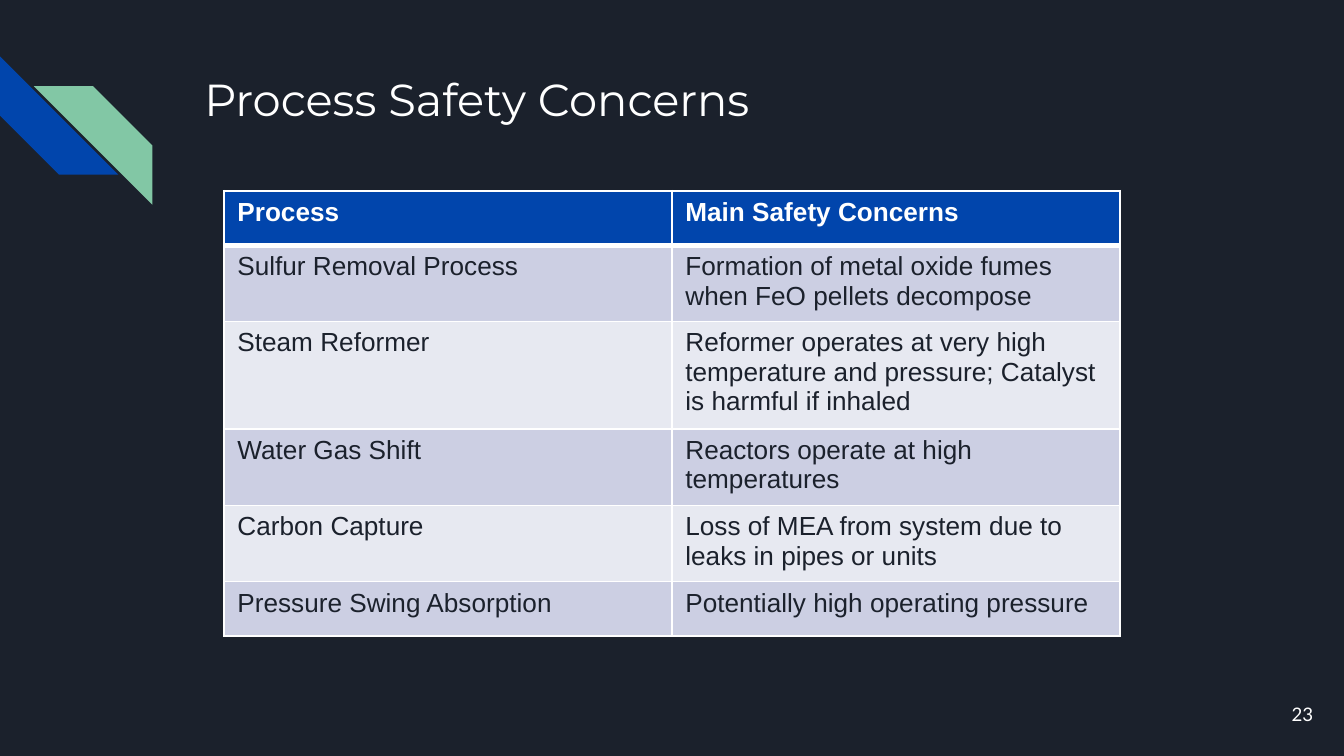
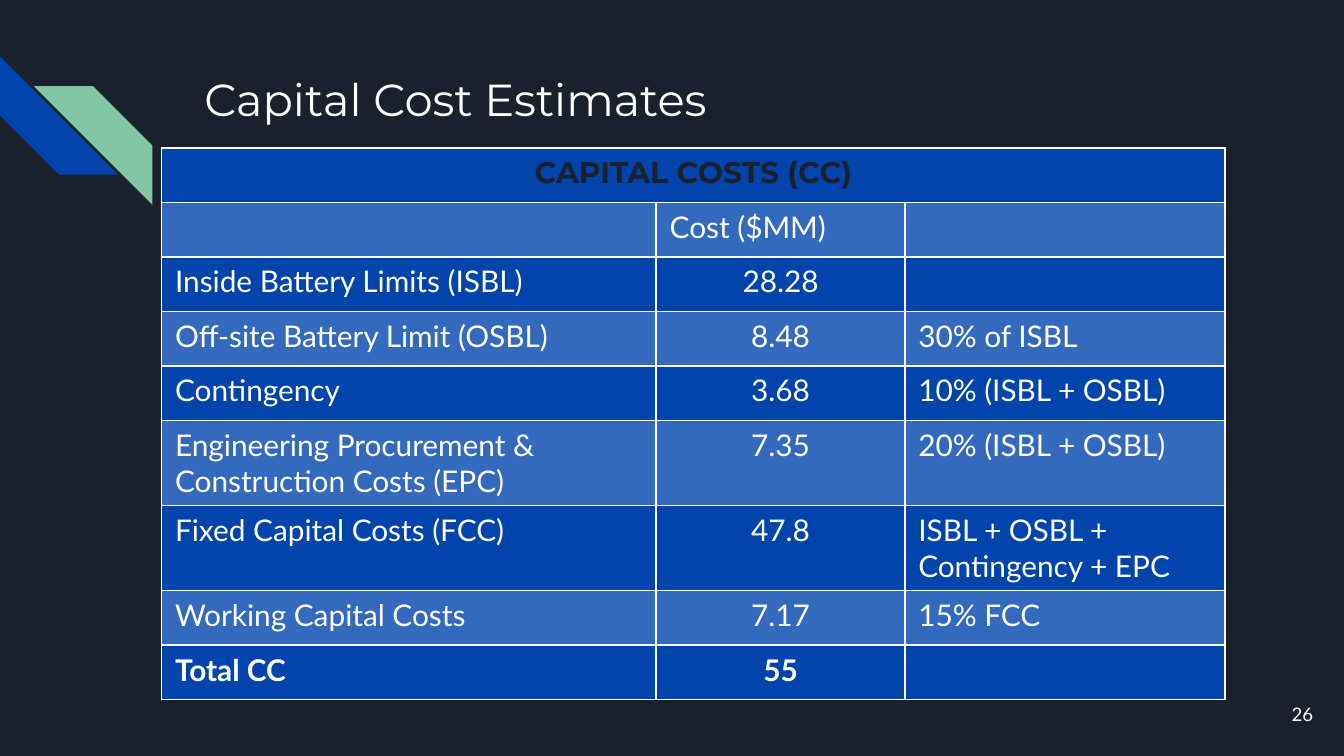
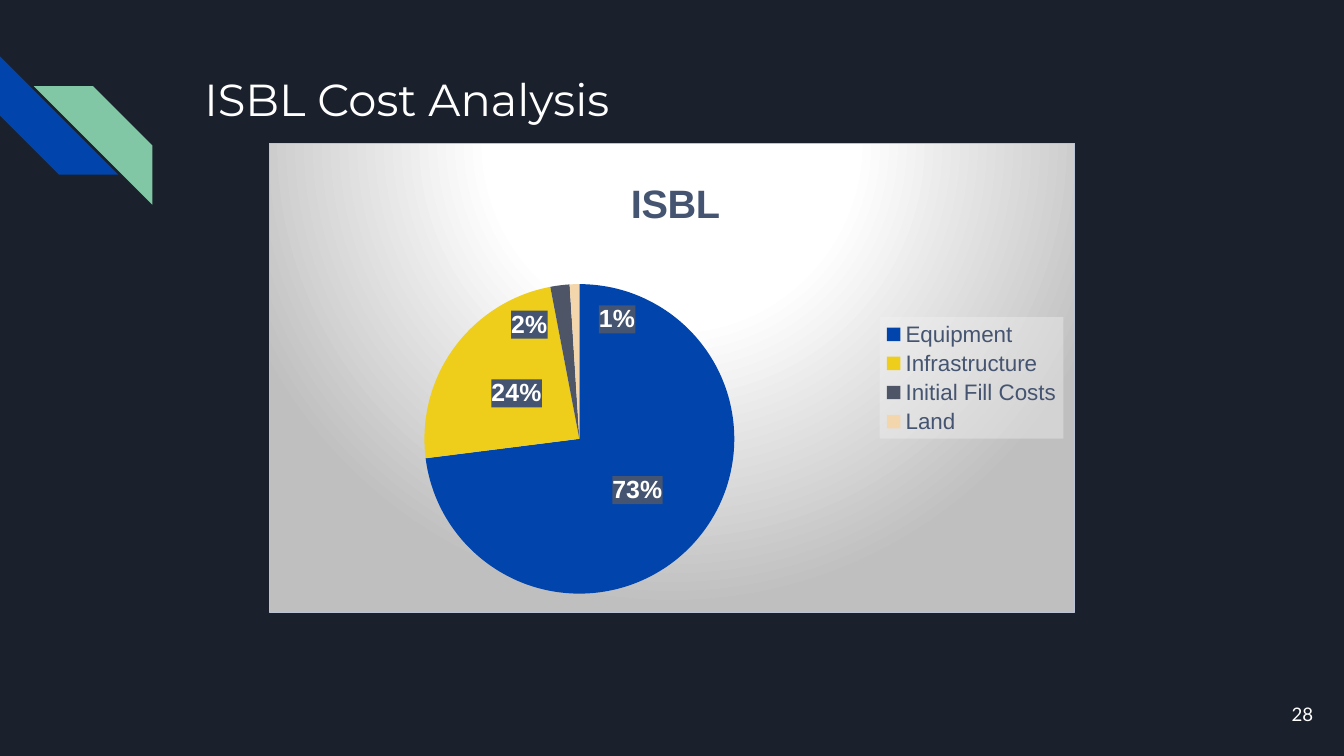
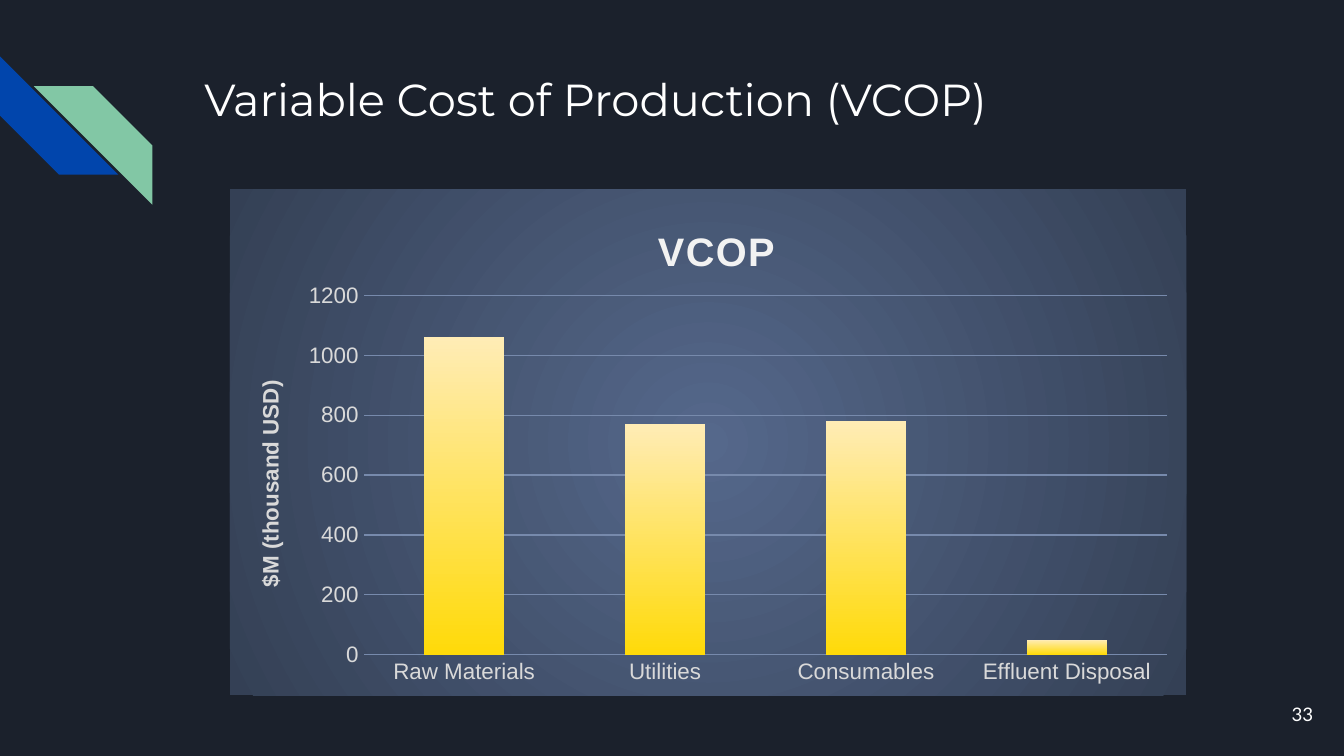
import copy
from dataclasses import dataclass

import lxml.etree
import pptx
import pptx.chart.data
import pptx.dml.color
import pptx.enum.chart
import pptx.enum.shapes
import pptx.enum.text
import pptx.oxml
import pptx.oxml.ns
import pptx.util

Pt = pptx.util.Pt
qn = pptx.oxml.ns.qn
ALIGN = pptx.enum.text.PP_ALIGN
ANCHOR = pptx.enum.text.MSO_ANCHOR
CHART_TYPE = pptx.enum.chart.XL_CHART_TYPE

# Shared colours and fonts
NIGHT, BLUE, GREEN, WHITE = "1B212C", "0145AC", "82C7A5", "FFFFFF"
LIGHT_BLUE = "346ABD"
BAND_DARK, BAND_LIGHT = "CCCFE3", "E7E9F1"
SLATE, SILVER = "455470", "D9D9D9"
HEADING_FONT, BODY_FONT, PLAIN_FONT = "Montserrat", "Lato", "Arial"
ROW_HEIGHT = 29.2

NAMESPACES = pptx.oxml.ns.nsdecls("a", "c")


def color(value):
    return pptx.dml.color.RGBColor.from_string(value)


def xml(tag, content):
    return pptx.oxml.parse_xml(f"<{tag} {NAMESPACES}>{content}</{tag}>")


def solid(value, opacity=100):
    return (f'<a:solidFill><a:srgbClr val="{value}"><a:alpha val="{opacity * 1000}"/>'
            "</a:srgbClr></a:solidFill>")


def radial(stops, focus):
    stop_list = "".join(f'<a:gs pos="{position * 1000}"><a:srgbClr val="{value}"/></a:gs>'
                        for position, value in stops)
    sides = " ".join(f'{side}="{percent * 1000}"' for side, percent in zip("ltrb", focus))
    return (f'<a:gradFill><a:gsLst>{stop_list}</a:gsLst>'
            f'<a:path path="circle"><a:fillToRect {sides}/></a:path></a:gradFill>')


def fill_chart_part(part, fill, border="<a:noFill/>"):
    """Give a chart part a background; it stands before the part's text style."""
    part.find(qn("c:txPr")).addprevious(xml("c:spPr", f'{fill}<a:ln w="9525">{border}</a:ln>'))


def place_chart_part(part, index, fractions, flags=()):
    """Set a manual layout from fractions of the chart (x, y and, if given, w, h)."""
    for old_layout in part.findall(qn("c:layout")):
        part.remove(old_layout)
    values = [*flags, *zip("xywh", fractions)]
    content = "".join(f'<c:{name} val="{value}"/>' for name, value in values)
    part.insert(index, xml("c:layout", f"<c:manualLayout>{content}</c:manualLayout>"))


EDGE_MODES = (("xMode", "edge"), ("yMode", "edge"))
INNER_EDGE = (("layoutTarget", "inner"), *EDGE_MODES)


def style_font(font, size, value, name=PLAIN_FONT, bold=False):
    font.size, font.name, font.bold = Pt(size), name, bold
    font.color.rgb = color(value)


@dataclass
class CellStyle:
    fill: str
    text: str
    size: float
    font: str
    bold: bool = False
    align: object = ALIGN.LEFT
    top: float = 1
    bottom: float = 1


class Deck:
    def __init__(self):
        self.presentation = pptx.Presentation()
        self.presentation.slide_width = Pt(720)
        self.presentation.slide_height = Pt(405)
        self.slide = None

    # Slide frame: background, stripes, title and number
    def new_slide(self, title, number):
        self.slide = self.presentation.slides.add_slide(self.presentation.slide_layouts[6])
        background = self.slide.background.fill
        background.solid()
        background.fore_color.rgb = color(NIGHT)
        self.stripe(0, 30.2, BLUE).rotation = 270
        self.stripe(18.2, 46.2, GREEN)._element.spPr.xfrm.set("flipH", "1")
        self.text(title, 102.4, 31, 554.4, 72, 24, HEADING_FONT)
        self.text(number, 667.4, 367.2, 43.2, 31, 10, BODY_FONT, ALIGN.RIGHT, ANCHOR.MIDDLE)

    def stripe(self, left, top, fill):
        shape = self.slide.shapes.add_shape(pptx.enum.shapes.MSO_SHAPE.DIAGONAL_STRIPE,
                                            Pt(left), Pt(top), Pt(63.4), Pt(63.4))
        shape.shadow.inherit = False
        shape.fill.solid()
        shape.fill.fore_color.rgb = color(fill)
        shape.line.fill.background()
        return shape

    def text(self, words, left, top, width, height, size, font,
             align=ALIGN.LEFT, anchor=ANCHOR.TOP):
        box = self.slide.shapes.add_textbox(Pt(left), Pt(top), Pt(width), Pt(height))
        frame = box.text_frame
        frame.word_wrap = True
        frame.vertical_anchor = anchor
        frame.margin_left = frame.margin_right = Pt(7.2)
        frame.margin_top = frame.margin_bottom = Pt(7.2)
        paragraph = frame.paragraphs[0]
        paragraph.alignment = align
        run = paragraph.add_run()
        run.text = words
        style_font(run.font, size, WHITE, font)

    # Tables
    def table(self, left, top, widths, rows, cell_style):
        frame = self.slide.shapes.add_table(len(rows), len(widths), Pt(left), Pt(top),
                                            Pt(sum(widths)), Pt(ROW_HEIGHT * len(rows)))
        table = frame.table
        for column, width in zip(table.columns, widths):
            column.width = Pt(width)
        for row_index, words in enumerate(rows):
            table.rows[row_index].height = Pt(ROW_HEIGHT)
            for column_index, word in enumerate(words):
                self.fill_cell(table.cell(row_index, column_index), word,
                               cell_style(row_index, column_index))
        return table

    def fill_cell(self, cell, words, style):
        properties = cell._tc.get_or_add_tcPr()
        for side, width in zip("LRTB", (1, 1, style.top, style.bottom)):
            line = lxml.etree.SubElement(properties, qn(f"a:ln{side}"), w=str(int(Pt(width))))
            line.append(xml("a:solidFill", f'<a:srgbClr val="{WHITE}"/>'))
        cell.fill.solid()
        cell.fill.fore_color.rgb = color(style.fill)
        paragraph = cell.text_frame.paragraphs[0]
        paragraph.alignment = style.align
        if words:
            run = paragraph.add_run()
            run.text = words
            style_font(run.font, style.size, style.text, style.font, style.bold)

    # Charts
    def chart(self, kind, box, title, title_color, values, fill, border, plot_box):
        data = pptx.chart.data.CategoryChartData()
        data.categories = list(values)
        data.add_series("Series 1", list(values.values()))
        lengths = [Pt(length) for length in box]
        chart = self.slide.shapes.add_chart(kind, *lengths, data).chart
        style_font(chart.font, 10, NIGHT)
        fill_chart_part(chart._chartSpace, fill, border)
        chart.has_legend = False
        chart.has_title = True
        run = self.chart_title(chart.chart_title, title, 21.3, title_color)
        place_chart_part(chart.chart_title._element, 1, (0.44, 0.06), EDGE_MODES)
        place_chart_part(chart._chartSpace.chart.plotArea, 0, plot_box, INNER_EDGE)
        return chart, run

    def chart_title(self, title, words, size, value):
        run = title.text_frame.paragraphs[0].add_run()
        run.text = words
        style_font(run.font, size, value, bold=True)
        return run

    def pie(self, box, title, values, point_colors, label_offsets):
        background = radial([(0, WHITE), (39, WHITE), (100, "BFBFBF")], (50, -80, 50, 180))
        chart, _ = self.chart(CHART_TYPE.PIE, box, title, SLATE, values, background,
                              solid("BBC4D5"), (0.19, 0.3, 0.39, 0.66))
        plot = chart.plots[0]
        plot.vary_by_categories = True
        series = plot.series[0]
        for index, value in enumerate(point_colors):
            point_fill = series.points[index].format.fill
            point_fill.solid()
            point_fill.fore_color.rgb = color(value)

        # Percent labels, some moved off their centre
        labels = series.data_labels
        labels.show_percentage, labels.show_value = True, False
        labels.number_format, labels.number_format_is_linked = "0%", False
        labels.position = pptx.enum.chart.XL_LABEL_POSITION.CENTER
        style_font(labels.font, 13.3, WHITE, bold=True)
        group = labels._element
        fill_chart_part(group, solid(SLATE, 90))
        shared = [child for child in group if child.tag != qn("c:showLeaderLines")]
        for position, (index, offset) in enumerate(label_offsets.items()):
            label = xml("c:dLbl", f'<c:idx val="{index}"/>')
            label.extend([copy.deepcopy(child) for child in shared])
            place_chart_part(label, 1, offset)
            group.insert(position, label)

        chart.has_legend = True
        legend = chart.legend
        legend.position = pptx.enum.chart.XL_LEGEND_POSITION.RIGHT
        legend.include_in_layout = False
        style_font(legend.font, 12, SLATE)
        fill_chart_part(legend._element, solid("F2F2F2", 40))

    def columns(self, box, title, axis_title, values):
        background = radial([(0, "55688B"), (100, "344055")], (50, 50, 50, 50))
        chart, title_run = self.chart(CHART_TYPE.COLUMN_STACKED, box, title, "F2F2F2", values,
                                      background, "<a:noFill/>", (0.14, 0.21, 0.84, 0.71))
        title_run.font._element.set("spc", "100")
        plot = chart.plots[0]
        plot.vary_by_categories = False
        plot.gap_width, plot.overlap = 150, 100
        bar_fill = plot.series[0].format.fill
        bar_fill.gradient()
        bar_fill.gradient_angle = 90
        for stop, value in zip(bar_fill.gradient_stops, ("FFDA09", "FFECB5")):
            stop.color.rgb = color(value)

        for axis in (chart.category_axis, chart.value_axis):
            axis.major_tick_mark = axis.minor_tick_mark = pptx.enum.chart.XL_TICK_MARK.NONE
            axis.format.line.fill.background()
            style_font(axis.tick_labels.font, 12, SILVER)
        axis = chart.value_axis
        axis.minimum_scale, axis.maximum_scale, axis.major_unit = 0, 1200, 200
        axis.has_major_gridlines = True
        grid = axis.major_gridlines.format.line
        grid.width = Pt(0.75)
        grid.color.rgb = color("778AAC")
        axis.has_title = True
        self.chart_title(axis.axis_title, axis_title, 12, SILVER)
        body = axis.axis_title.text_frame._txBody.bodyPr
        body.set("rot", "-5400000")
        body.set("vert", "horz")


def safety_style(row, column):
    if row == 0:
        return CellStyle(BLUE, WHITE, 14, PLAIN_FONT, bold=True, bottom=3)
    return CellStyle(BAND_DARK if row % 2 else BAND_LIGHT, NIGHT, 14, PLAIN_FONT,
                     top=3 if row == 1 else 1)


def cost_style(row, column):
    if row == 0:
        return CellStyle(BLUE, NIGHT, 16, HEADING_FONT, bold=True, align=ALIGN.CENTER)
    centred = column == 1 and row > 1
    return CellStyle(LIGHT_BLUE if row % 2 else BLUE, WHITE, 16, BODY_FONT, bold=row == 8,
                     align=ALIGN.CENTER if centred else ALIGN.LEFT)


SAFETY_ROWS = [
    ("Process", "Main Safety Concerns"),
    ("Sulfur Removal Process", "Formation of metal oxide fumes when FeO pellets decompose"),
    ("Steam Reformer", "Reformer operates at very high temperature and pressure; "
                       "Catalyst is harmful if inhaled"),
    ("Water Gas Shift", "Reactors operate at high temperatures"),
    ("Carbon Capture", "Loss of MEA from system due to leaks in pipes or units"),
    ("Pressure Swing Absorption", "Potentially high operating pressure"),
]

COST_ROWS = [
    ("CAPITAL COSTS (CC)", "", ""),
    ("", "Cost ($MM)", ""),
    ("Inside Battery Limits (ISBL)", "28.28", ""),
    ("Off-site Battery Limit (OSBL)", "8.48", "30% of ISBL"),
    ("Contingency", "3.68", "10% (ISBL + OSBL)"),
    ("Engineering Procurement & Construction Costs (EPC)", "7.35", "20% (ISBL + OSBL)"),
    ("Fixed Capital Costs (FCC)", "47.8", "ISBL + OSBL + Contingency + EPC"),
    ("Working Capital Costs", "7.17", "15% FCC"),
    ("Total CC", "55", ""),
]


def main():
    deck = Deck()

    # Safety table
    deck.new_slide("Process Safety Concerns", "23")
    deck.table(120, 102.2, (240, 240), SAFETY_ROWS, safety_style)

    # Capital cost table
    deck.new_slide("Capital Cost Estimates", "26")
    costs = deck.table(86.6, 79.2, (265, 133.2, 171.6), COST_ROWS, cost_style)
    costs.cell(0, 0).merge(costs.cell(0, 2))

    # Cost shares
    deck.new_slide("ISBL Cost Analysis", "28")
    deck.pie((144, 76.5, 432, 252), "ISBL",
             {"Equipment": 73, "Infrastructure": 24, "Initial Fill Costs": 2, "Land": 1},
             (BLUE, "EECE1A", "4E5567", "F4D6AD"),
             {2: (-0.05, -0.08), 3: (0.05, -0.09)})

    # Variable costs
    deck.new_slide("Variable Cost of Production (VCOP)", "33")
    deck.columns((123.2, 101.5, 512.4, 271), "VCOP", "$M (thousand USD)",
                 {"Raw Materials": 1060, "Utilities": 770, "Consumables": 780,
                  "Effluent Disposal": 50})

    deck.presentation.save("out.pptx")


if __name__ == "__main__":
    main()
